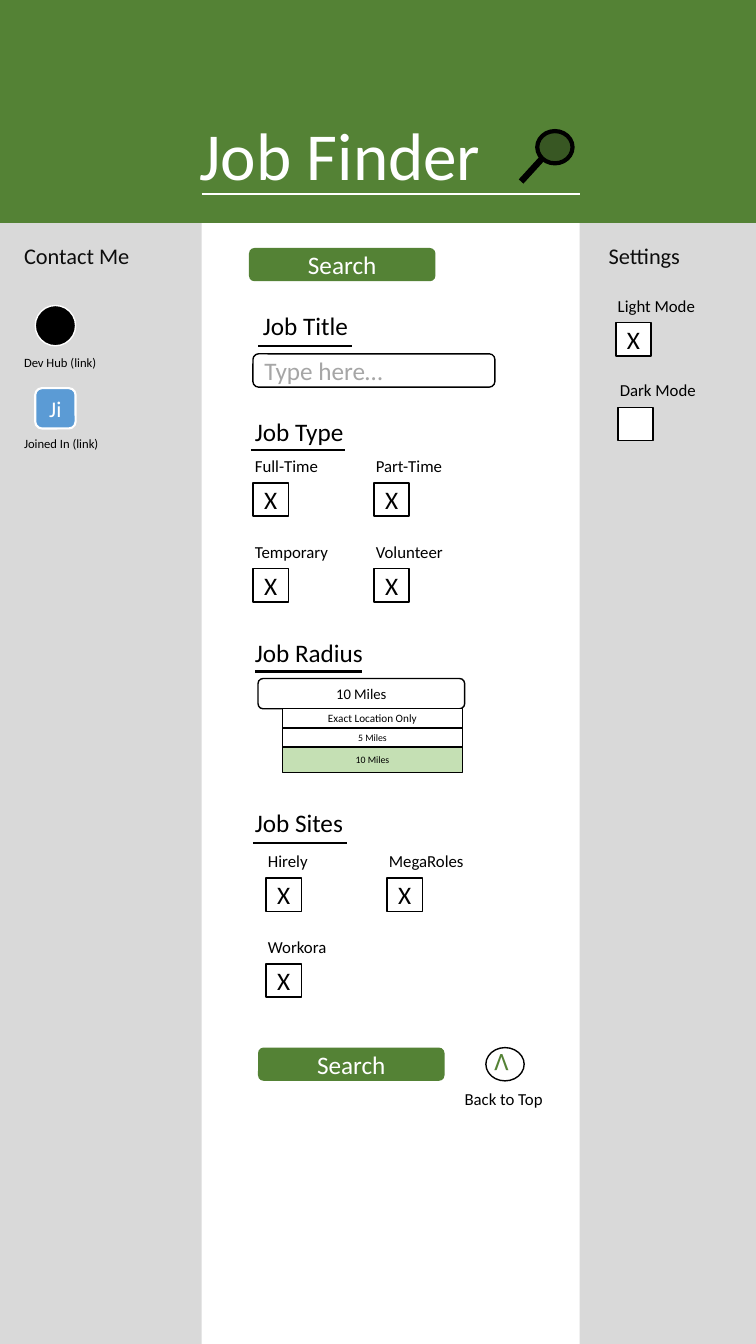
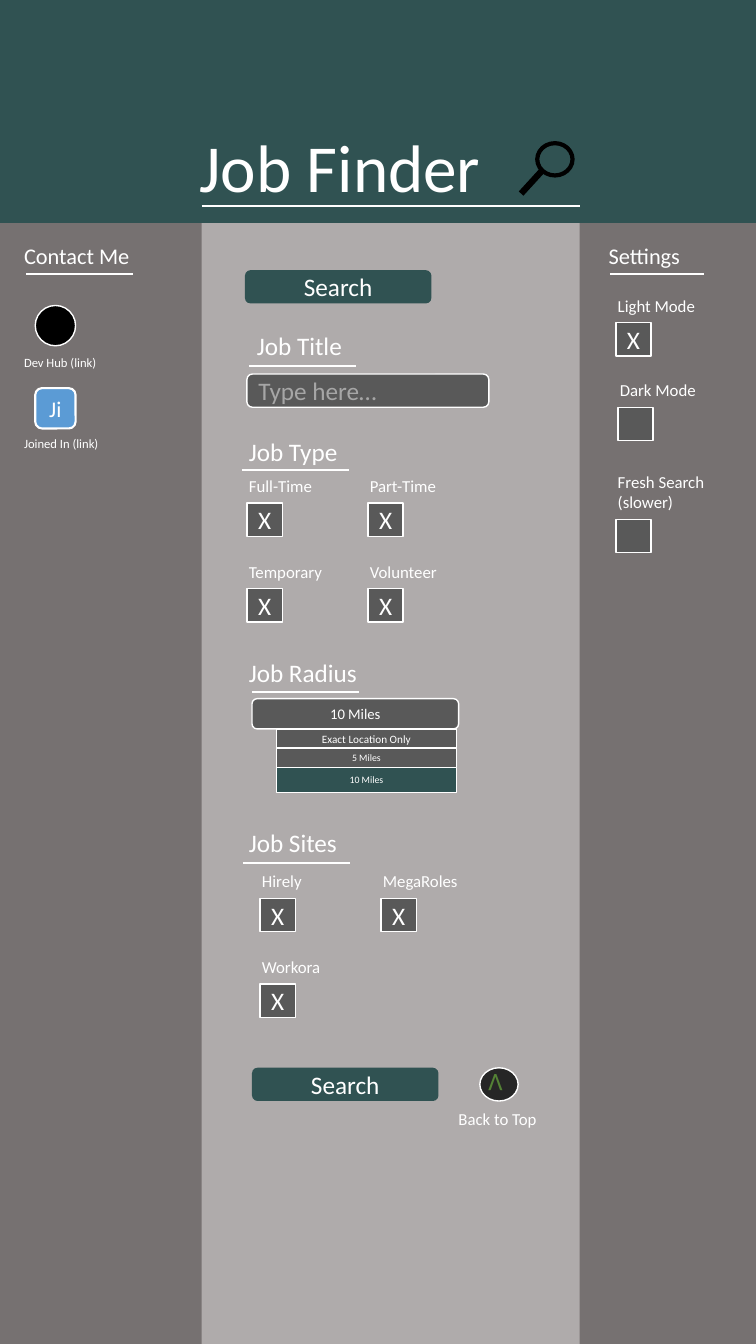
from dataclasses import dataclass

from lxml.etree import SubElement
from pptx import Presentation
from pptx.dml.color import RGBColor
from pptx.enum.shapes import MSO_CONNECTOR as Line, MSO_SHAPE as Shape
from pptx.enum.text import MSO_ANCHOR as Anchor, PP_ALIGN as Align
from pptx.oxml.ns import qn
from pptx.util import Inches, Pt

# Grid: square cells of a tenth of an inch; every place below is in cells
CELL = Inches(0.1)
COLUMNS, ROWS = 75, 133.3
HEADER = 22.1
MAIN_LEFT, MAIN_WIDTH = 20, 37.5
CHECK_WIDTH, CHECK_HEIGHT = 3.5, 3.3
CHECK_COLUMN, CHECK_ROW = 12, 8.5
TITLE_ONLY = 5


@dataclass(frozen=True)
class Theme:
    # Colours
    brand: str
    side: str
    main: str
    field: str
    ink: str
    heading: str
    chosen: str
    round_button: str
    lens: str
    # Placement
    title_top: float
    search: tuple
    form_shift: tuple
    rule_lefts: tuple
    rule_width: float
    # Settings column
    side_rules: bool
    settings: tuple
    # Shared by both modes
    white: str = "FFFFFF"
    black: str = "000000"
    hint: str = "A6A6A6"
    arrow: str = "548235"
    badge: str = "5B9BD5"
    font: str = "Calibri"
    title_size: float = 48
    section_size: float = 18
    side_size: float = 16
    label_size: float = 12
    select_size: float = 10.5
    link_size: float = 9


MODES = ((61.1, 32, "Light Mode", "X"), (61.3, 40.4, "Dark Mode", ""))

LIGHT = Theme(
    brand="548235", side="D9D9D9", main="FFFFFF", field="FFFFFF",
    ink="000000", heading="0D0D0D", chosen="C5E0B4",
    round_button="FFFFFF", lens="385723",
    title_top=10.7, search=(24.7, 24.6), form_shift=(0, 0),
    rule_lefts=(25.6, 24.9, 25.3, 25.1), rule_width=9.3,
    side_rules=False, settings=MODES)

DARK = Theme(
    brand="305252", side="767171", main="AFABAB", field="595959",
    ink="FFFFFF", heading="FFFFFF", chosen="305252",
    round_button="262626", lens="305252",
    title_top=11.9, search=(24.3, 26.8), form_shift=(-0.6, 2),
    rule_lefts=(25.3, 24.6, 25.6, 24.7), rule_width=10.6,
    side_rules=True,
    settings=MODES + ((61.1, 51.5, "Fresh Search (slower)", ""),))

# Section name, left, top, top of its rule
SECTIONS = (
    ("Job Title", 25.1, 30.3, 34.3),
    ("Job Type", 24.3, 40.8, 44.6),
    ("Job Radius", 24.3, 62.7, 66.6),
    ("Job Sites", 24.3, 79.6, 83.6),
)
JOB_TYPES = ("Full-Time", "Part-Time", "Temporary", "Volunteer")
JOB_SITES = ("Hirely", "MegaRoles", "Workora")


def cells(*numbers):
    return [int(number * CELL) for number in numbers]


def colour(code):
    return RGBColor.from_string(code)


def write(frame, text, theme, size, ink, align=Align.LEFT):
    frame.word_wrap = True
    para = frame.paragraphs[0]
    para.alignment = align
    span = para.add_run()
    span.text = text
    span.font.name = theme.font
    span.font.size = Pt(size)
    span.font.color.rgb = colour(ink)


def add_box(shapes, kind, place, fill, line=None, width=1):
    box = shapes.add_shape(kind, *cells(*place))
    box.shadow.inherit = False
    box.fill.solid()
    box.fill.fore_color.rgb = colour(fill)
    if line:
        box.line.color.rgb = colour(line)
        box.line.width = Pt(width)
    else:
        box.line.fill.background()
    return box


def add_label(page, theme, place, text, size, ink=None):
    box = page.shapes.add_textbox(*cells(*place))
    write(box.text_frame, text, theme, size, ink or theme.ink)


def add_line(shapes, start, end, ink, width=1.5):
    line = shapes.add_connector(Line.STRAIGHT, *cells(*start, *end))
    line.line.color.rgb = colour(ink)
    line.line.width = Pt(width)
    SubElement(line.element.spPr, qn("a:effectLst"))


def add_rule(page, left, top, width, ink):
    add_line(page.shapes, (left, top), (left + width, top), ink)


def add_field(page, theme, kind, place, text, size, fill=None):
    box = add_box(page.shapes, kind, place, fill or theme.field, theme.ink)
    write(box.text_frame, text, theme, size, theme.ink, Align.CENTER)


def add_check(page, theme, left, top, label, mark):
    place = (left, top, CHECK_WIDTH, CHECK_HEIGHT)
    if mark:
        add_field(page, theme, Shape.RECTANGLE, place, mark,
                  theme.section_size)
    else:
        add_box(page.shapes, Shape.RECTANGLE, place, theme.field, theme.ink)
    height = 5 if len(label) > 12 else 3
    add_label(page, theme, (left - 0.8, top - height - 0.2, 11.2, height),
              label, theme.label_size)


def add_check_grid(page, theme, left, top, labels):
    for index, label in enumerate(labels):
        row, column = divmod(index, 2)
        add_check(page, theme, left + column * CHECK_COLUMN,
                  top + row * CHECK_ROW, label, "X")


def add_search(page, theme, left, top):
    button = add_box(page.shapes, Shape.ROUNDED_RECTANGLE,
                     (left, top, 18.5, 3.3), theme.brand)
    write(button.text_frame, "Search", theme, theme.section_size,
          theme.white, Align.CENTER)


def add_bands(page, theme):
    for place, fill in (
            ((0, HEADER, COLUMNS, ROWS - HEADER), theme.side),
            ((MAIN_LEFT, HEADER, MAIN_WIDTH, ROWS - HEADER), theme.main),
            ((0, 0, COLUMNS, HEADER), theme.brand)):
        add_box(page.shapes, Shape.RECTANGLE, place, fill)


def add_header(page, theme):
    top = theme.title_top
    title = page.shapes.title
    title.left, title.top, title.width, title.height = cells(
        18.8, top, 37.5, 9.1)
    title.text_frame.vertical_anchor = Anchor.TOP
    write(title.text_frame, "Job Finder", theme, theme.title_size,
          theme.white)
    # Bring the title in front of the bands
    title.element.getparent().append(title.element)
    add_rule(page, MAIN_LEFT, top + 8.5, MAIN_WIDTH, theme.white)

    # Magnifying glass
    glass = page.shapes.add_group_shape().shapes
    add_box(glass, Shape.OVAL, (53.3, top + 2.3, 3.5, 3.2), theme.lens,
            theme.black, 3)
    add_line(glass, (53.8, top + 5), (51.7, top + 7.3), theme.black, 4.5)


def add_contacts(page, theme):
    add_label(page, theme, (1.4, 23.5, 14.2, 3.7), "Contact Me",
              theme.side_size, theme.heading)
    add_box(page.shapes, Shape.OVAL, (3.5, 30.3, 4, 4), theme.black,
            theme.white)
    badge = add_box(page.shapes, Shape.ROUNDED_RECTANGLE, (3.5, 38.5, 4, 4),
                    theme.badge, theme.white, 1.5)
    write(badge.text_frame, "Ji", theme, theme.side_size, theme.white,
          Align.CENTER)
    for top, text in ((34.7, "Dev Hub (link)"), (42.7, "Joined In (link)")):
        add_label(page, theme, (1.4, top, 12, 2.5), text, theme.link_size)


def add_settings(page, theme):
    add_label(page, theme, (59.4, 23.5, 14.2, 3.7), "Settings",
              theme.side_size, theme.heading)
    for setting in theme.settings:
        add_check(page, theme, *setting)
    if theme.side_rules:
        add_rule(page, 2.6, 27.2, 10.6, theme.ink)
        add_rule(page, 60.5, 27.2, 9.3, theme.ink)


def add_radius_list(page, theme, left, top):
    add_field(page, theme, Shape.ROUNDED_RECTANGLE, (left, top, 20.5, 3),
              "10 Miles", theme.select_size)
    top += 3
    for text, height, size, fill in (
            ("Exact Location Only", 1.9, 8, theme.field),
            ("5 Miles", 1.9, 7, theme.field),
            ("10 Miles", 2.5, 7, theme.chosen)):
        add_field(page, theme, Shape.RECTANGLE,
                  (left + 2.4, top, 17.9, height), text, size, fill)
        top += height


def add_form(page, theme):
    right, down = theme.form_shift
    add_search(page, theme, *theme.search)

    # Section headings, each with a rule
    for (name, left, top, rule_top), rule_left in zip(SECTIONS,
                                                      theme.rule_lefts):
        add_label(page, theme, (left + right, top + down, 15.7, 4), name,
                  theme.section_size)
        width = 10.6 if name == "Job Radius" else theme.rule_width
        add_rule(page, rule_left + right, rule_top + down, width, theme.ink)

    # Inputs
    entry = add_box(page.shapes, Shape.ROUNDED_RECTANGLE,
                    (25.1 + right, 35.1 + down, 24, 3.3), theme.field,
                    theme.ink)
    write(entry.text_frame, "Type here…", theme, theme.section_size,
          theme.hint)
    add_check_grid(page, theme, 25.1 + right, 47.9 + down, JOB_TYPES)
    add_radius_list(page, theme, 25.6 + right, 67.3 + down)
    add_check_grid(page, theme, 26.4 + right, 87.1 + down, JOB_SITES)

    # Bottom row
    add_search(page, theme, 25.6 + right, 103.9 + down)
    arrow = add_box(page.shapes, Shape.OVAL,
                    (48.2 + right, 103.9 + down, 3.8, 3.3),
                    theme.round_button, theme.ink)
    arrow.rotation = 180
    write(arrow.text_frame, "V", theme, theme.section_size, theme.arrow,
          Align.CENTER)
    add_label(page, theme, (45.1 + right, 107.5 + down, 11.8, 3),
              "Back to Top", theme.label_size)


def main():
    deck = Presentation()
    deck.slide_width, deck.slide_height = cells(COLUMNS, ROWS)
    for theme in (LIGHT, DARK):
        page = deck.slides.add_slide(deck.slide_layouts[TITLE_ONLY])
        for add_part in (add_bands, add_header, add_contacts, add_settings,
                         add_form):
            add_part(page, theme)
    deck.save("out.pptx")


if __name__ == "__main__":
    main()
